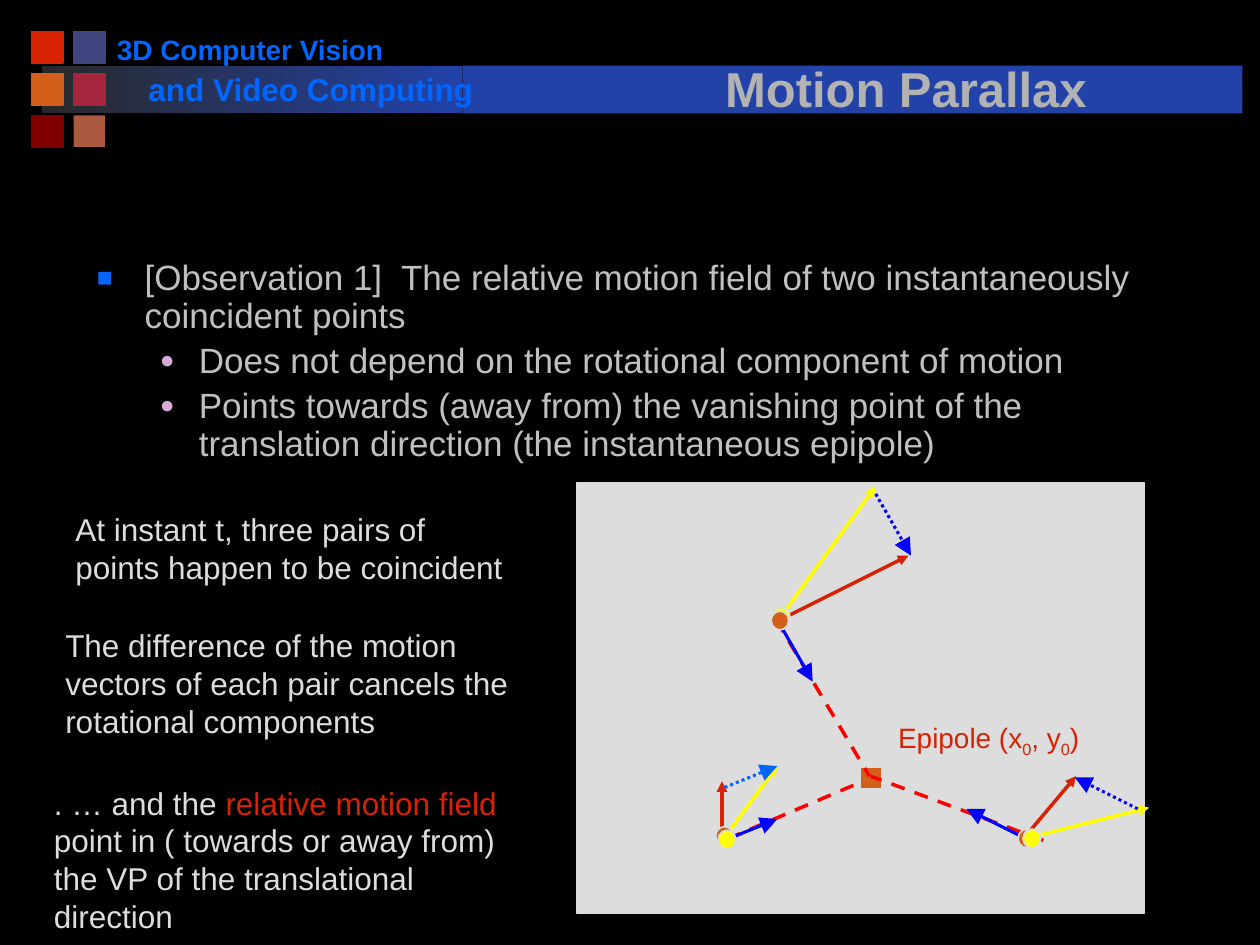
import pptx
import pptx.util
import pptx.dml.color
import pptx.enum.dml
import pptx.enum.shapes
import pptx.enum.text
import pptx.oxml
import pptx.oxml.ns
from lxml import etree

Inches = pptx.util.Inches
Pt = pptx.util.Pt
RGB = pptx.dml.color.RGBColor
Kind = pptx.enum.shapes.MSO_SHAPE
Dash = pptx.enum.dml.MSO_LINE
Align = pptx.enum.text.PP_ALIGN
Anchor = pptx.enum.text.MSO_ANCHOR
qn = pptx.oxml.ns.qn

BLACK = RGB(0x00, 0x00, 0x00)
CHAR = RGB(0x29, 0x29, 0x29)
NAVY = RGB(0x22, 0x42, 0xA8)
AZURE = RGB(0x00, 0x66, 0xFF)
BLUE = RGB(0x00, 0x00, 0xFF)
SLATE = RGB(0x42, 0x46, 0x80)
CRIMSON = RGB(0xA5, 0x25, 0x3D)
MAROON = RGB(0x80, 0x00, 0x00)
BRICK = RGB(0xD8, 0x22, 0x04)
ORANGE = RGB(0xD2, 0x60, 0x1A)
CLAY = RGB(0xAA, 0x58, 0x3E)
RED = RGB(0xFF, 0x00, 0x00)
YELLOW = RGB(0xFF, 0xFF, 0x00)
PINK = RGB(0xDB, 0xA9, 0xD7)
SILVER = RGB(0xB2, 0xB2, 0xB2)
GREY = RGB(0xC0, 0xC0, 0xC0)
PALE = RGB(0xDD, 0xDD, 0xDD)


def add_run(para, text, size, color, bold=False, base=0):
    run = para.add_run()
    run.text = text
    font = run.font
    font.name, font.size, font.bold = "Arial", Pt(size), bold
    font.color.rgb = color
    if base:
        font._element.set("baseline", str(base))
    return run


def add_text(slide, box, runs, size, bold=False, wrap=True):
    frame = slide.shapes.add_textbox(*map(Inches, box)).text_frame
    frame.word_wrap = wrap
    for text, color, base in runs:
        add_run(frame.paragraphs[0], text, size, color, bold, base)


def add_block(slide, kind, box, fill, edge=None):
    shape = slide.shapes.add_shape(kind, *map(Inches, box))
    shape.shadow.inherit = False
    shape.fill.solid()
    shape.fill.fore_color.rgb = fill
    if edge is None:
        shape.line.fill.background()
    else:
        shape.line.color.rgb = edge
        shape.line.width = Pt(1)
    return shape


def add_line(slide, ends, color, width, dash=None, head=None):
    link = slide.shapes.add_connector(
        pptx.enum.shapes.MSO_CONNECTOR.STRAIGHT, *map(Inches, ends))
    link.line.color.rgb = color
    link.line.width = Pt(width)
    if dash:
        link.line.dash_style = dash
    if head:
        etree.SubElement(link.line._get_or_add_ln(), qn("a:tailEnd"),
                         type="triangle", w=head, len=head)
    etree.SubElement(link._element.spPr, qn("a:effectLst"))


def add_banner(slide, left, top):
    # Bar that fades in on the left
    fade = add_block(slide, Kind.RECTANGLE, (left + 0.08, top + 0.27, 3.34, 0.38), NAVY)
    fade.fill.gradient()
    fade.fill.gradient_angle = 0
    for stop, color, place in zip(fade.fill.gradient_stops, (CHAR, NAVY), (0, 1)):
        stop.color.rgb = color
        stop.position = place
    add_block(slide, Kind.RECTANGLE, (left + 3.42, top + 0.27, 6.19, 0.38), NAVY)
    # Two by three tiles
    tiles = (BRICK, SLATE, ORANGE, CRIMSON, MAROON, CLAY)
    for i, color in enumerate(tiles):
        row, col = divmod(i, 2)
        spot = (left + col / 3, top + row / 3, 0.25, 0.25)
        add_block(slide, Kind.RECTANGLE, spot, color, None if color == CLAY else color)
    # Course name
    add_text(slide, (left + 0.58, top - 0.04, 2.32, 0.37),
             [("3D Computer Vision", AZURE, 0)], 16, True, False)
    add_text(slide, (left + 0.83, top + 0.26, 2.83, 0.4),
             [("and Video Computing", AZURE, 0)], 18, True)


def set_title(slide, box, text):
    title = slide.shapes.title
    title.left, title.top, title.width, title.height = map(Inches, box)
    frame = title.text_frame
    frame.vertical_anchor = Anchor.BOTTOM
    para = frame.paragraphs[0]
    para.alignment = Align.CENTER
    run = add_run(para, text, 28, SILVER, True)
    # Text shadow, placed right after the fill
    glow = etree.Element(qn("a:effectLst"))
    shade = etree.SubElement(glow, qn("a:outerShdw"), dist="35921", dir="2700000")
    etree.SubElement(shade, qn("a:srgbClr"), val=str(BLACK))
    run.font._element.find(qn("a:solidFill")).addnext(glow)
    # Bring in front of the banner
    title._element.getparent().append(title._element)


def add_points(slide, box, points):
    frame = slide.shapes.add_textbox(*map(Inches, box)).text_frame
    frame.word_wrap = True
    looks = (("■", AZURE, 75, 0.38, 0.38), ("●", PINK, 70, 0.81, 0.31))
    for i, (level, text) in enumerate(points):
        para = frame.paragraphs[0] if i == 0 else frame.add_paragraph()
        mark, color, scale, margin, hang = looks[level]
        para.level = level
        para.line_spacing = 0.9
        para.space_before = Pt(4 if i else 0)
        props = para._p.get_or_add_pPr()
        props.set("marL", str(Inches(margin)))
        props.set("indent", str(-Inches(hang)))
        tint = etree.SubElement(props, qn("a:buClr"))
        etree.SubElement(tint, qn("a:srgbClr"), val=str(color))
        etree.SubElement(props, qn("a:buSzPct"), val=str(scale * 1000))
        etree.SubElement(props, qn("a:buFont"), typeface="Arial")
        etree.SubElement(props, qn("a:buChar"), char=mark)
        add_run(para, text, 20, GREY)


def add_field(slide, left, top, width, height):
    def line(ends, *look):
        x1, y1, x2, y2 = ends
        add_line(slide, (left + x1, top + y1, left + x2, top + y2), *look)

    add_block(slide, Kind.RECTANGLE, (left, top, width, height), PALE, PALE)
    # Epipole and the dashed rays that meet there
    add_block(slide, Kind.RECTANGLE, (left + 2.25, top + 2.26, 0.17, 0.17), ORANGE, PALE)
    add_text(slide, (left + 2.45, top + 1.84, 1.75, 0.37),
             [("Epipole (x", BRICK, 0), ("0", BRICK, -25000), (", y", BRICK, 0),
              ("0", BRICK, -25000), (")", BRICK, 0)], 16)
    for ray in ((1.58, 1.09, 2.32, 2.33), (1.19, 2.83, 2.27, 2.37),
                (3.7, 2.84, 2.33, 2.33)):
        line(ray, RED, 2, Dash.DASH)
    # Each pair: relative, yellow and red motion, dots, dotted difference
    pairs = (
        ((1.17, 2.84, 1.59, 2.67), (1.14, 2.86, 1.59, 2.25), (1.15, 2.84, 1.15, 2.37),
         ((1.1, 2.73, ORANGE), (1.12, 2.76, YELLOW)), (1.17, 2.42, 1.59, 2.25), AZURE),
        ((1.59, 1.09, 1.87, 1.58), (1.62, 1.06, 2.37, 0.03), (1.63, 1.08, 2.63, 0.58),
         ((1.55, 0.99, YELLOW), (1.54, 1.02, ORANGE)), (2.37, 0.09, 2.65, 0.58), BLUE),
        ((3.59, 2.84, 3.09, 2.59), (3.54, 2.83, 4.54, 2.58), (3.54, 2.83, 3.96, 2.33),
         ((3.5, 2.75, ORANGE), (3.54, 2.75, YELLOW)), (4.45, 2.59, 3.95, 2.34), BLUE),
    )
    for toward, first, second, dots, gap, tint in pairs:
        line(toward, BLUE, 1.75, None, "lg")
        line(first, YELLOW, 2, None, "med")
        line(second, BRICK, 2, None, "med")
        for x, y, color in dots:
            add_block(slide, Kind.OVAL, (left + x, top + y, 0.14, 0.15), color, PALE)
        line(gap, tint, 1.75, Dash.ROUND_DOT, "lg")


def main():
    deck = pptx.Presentation()
    deck.slide_width, deck.slide_height = Inches(10), Inches(7.5)
    slide = deck.slides.add_slide(deck.slide_layouts[5])
    slide.background.fill.solid()
    slide.background.fill.fore_color.rgb = BLACK

    add_banner(slide, 0.25, 0.25)
    set_title(slide, (4.42, 0.31, 5.54, 0.67), "Motion Parallax")
    add_points(slide, (0.67, 2.02, 8.58, 1.82), (
        (0, "[Observation 1]  The relative motion field of two instantaneously coincident points"),
        (1, "Does not depend on the rotational component of motion"),
        (1, "Points towards (away from) the vanishing point of the translation "
            "direction (the instantaneous epipole)")))
    # Remarks beside the diagram
    notes = (
        ((0.5, 4, 3.67, 0.7),
         [("At instant t, three pairs of points happen to be coincident", PALE, 0)]),
        ((0.42, 4.92, 3.83, 1),
         [("The difference of the motion vectors of each pair cancels the "
           "rotational components", PALE, 0)]),
        ((0.33, 6.17, 4, 1.3),
         [(". … and the ", PALE, 0), ("relative motion field", BRICK, 0),
          (" point in ( towards or away from) the VP of the translational direction",
           PALE, 0)]))
    for box, runs in notes:
        add_text(slide, box, runs, 18)
    add_field(slide, 4.58, 3.83, 4.5, 3.42)
    deck.save("out.pptx")


if __name__ == "__main__":
    main()
